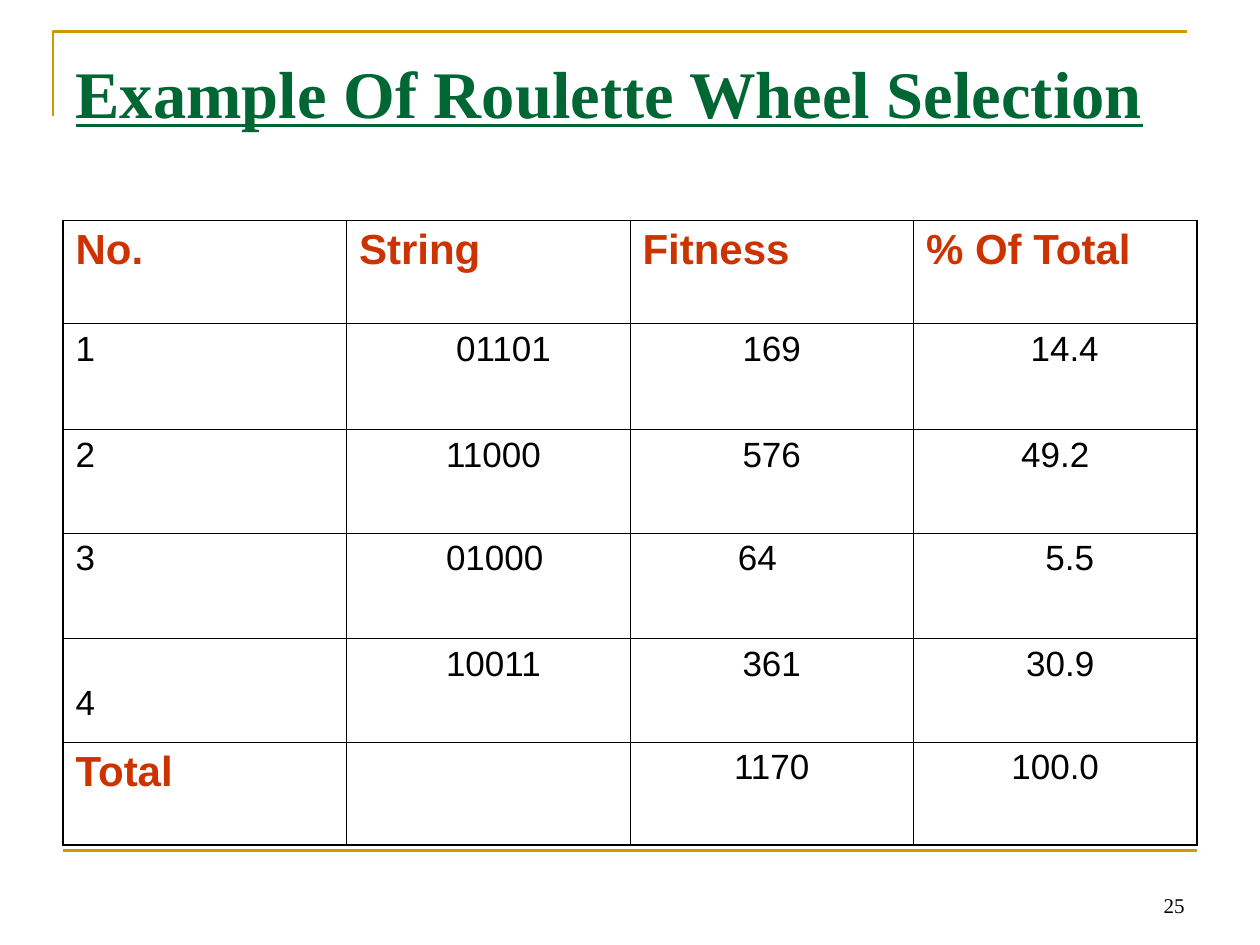
"""Builds the slide on roulette wheel selection with its fitness table."""
import pptx
import pptx.dml.color
import pptx.enum.shapes
import pptx.enum.text
import pptx.oxml
import pptx.oxml.ns
import pptx.util

Inches = pptx.util.Inches
Align = pptx.enum.text.PP_ALIGN
Anchor = pptx.enum.text.MSO_ANCHOR

COLORS = {"gold": "CC9900", "green": "006633", "red": "CC3300", "black": "000000"}
HEADERS = ["No.", "String", "Fitness", "% Of Total"]
ROWS = [
    ["1", "01101", "169", "14.4"],
    ["2", "11000", "576", "49.2"],
    ["3", "01000", "64", "5.5"],
    ["4", "10011", "361", "30.9"],
    ["Total", "", "1170", "100.0"],
]
ROW_HEIGHTS = [0.82, 0.84, 0.82, 0.84, 0.82, 0.82]
LEFT_MARGINS = {(1, 1): 0.87, (2, 1): 0.79, (3, 1): 0.79, (4, 1): 0.79,
                (1, 3): 0.25, (3, 3): 0.33, (4, 3): 0.18}
RIGHT_MARGINS = {(3, 2): 0.33}
TOP_MARGINS = {(4, 0): 0.36}


class SlideBuilder:
    def __init__(self, slide):
        self.slide = slide
        self.heading_font = "Times New Roman"
        self.table_font = "Arial"

    def color(self, name):
        return pptx.dml.color.RGBColor.from_string(COLORS[name])

    def add_text(self, paragraph, text, font, size, color, align, bold=False, underline=False):
        paragraph.alignment = align
        run = paragraph.add_run()
        run.text = text
        run.font.name = font
        run.font.size = pptx.util.Pt(size)
        run.font.bold = bold
        run.font.underline = underline
        run.font.color.rgb = self.color(color)

    def style_line(self, shape):
        shape.line.color.rgb = self.color("gold")
        shape.line.width = pptx.util.Pt(1.5)

    def corner(self, left, top, right, bottom):
        builder = self.slide.shapes.build_freeform(Inches(left), Inches(bottom))
        builder.add_line_segments(
            [(Inches(left), Inches(top)), (Inches(right), Inches(top))], close=False)
        shape = builder.convert_to_shape()
        shape.shadow.inherit = False
        shape.fill.background()
        self.style_line(shape)

    def rule(self, left, right, top):
        connector = self.slide.shapes.add_connector(
            pptx.enum.shapes.MSO_CONNECTOR.STRAIGHT,
            Inches(left), Inches(top), Inches(right), Inches(top))
        self.style_line(connector)
        properties = connector._element.spPr
        properties.append(pptx.oxml.parse_xml(
            f'<a:effectLst {pptx.oxml.ns.nsdecls("a")}/>'))

    def title(self, text, left, top, width, height):
        shape = self.slide.shapes.title
        shape.left, shape.top = Inches(left), Inches(top)
        shape.width, shape.height = Inches(width), Inches(height)
        frame = shape.text_frame
        frame.auto_size = pptx.enum.text.MSO_AUTO_SIZE.NONE
        frame.vertical_anchor = Anchor.TOP
        frame.margin_top = Inches(0.11)
        self.add_text(frame.paragraphs[0], text, self.heading_font, 38, "green",
                      Align.LEFT, bold=True, underline=True)

    def slide_number(self, text, left, top, width, height):
        shape = self.slide.shapes.add_textbox(
            Inches(left), Inches(top), Inches(width), Inches(height))
        frame = shape.text_frame
        frame.word_wrap = True
        frame.vertical_anchor = Anchor.BOTTOM
        self.add_text(frame.paragraphs[0], text, self.heading_font, 12, "black", Align.RIGHT)

    def borders(self, cell, outer_sides):
        properties = cell._tc.get_or_add_tcPr()
        for side in "LRTB":
            width = pptx.util.Pt(1.08 if side in outer_sides else 0.45)
            properties.append(pptx.oxml.parse_xml(
                f'<a:ln{side} {pptx.oxml.ns.nsdecls("a")} w="{int(width)}"><a:solidFill>'
                f'<a:srgbClr val="{COLORS["black"]}"/></a:solidFill></a:ln{side}>'))

    def cell(self, cell, text, row, column):
        cell.margin_left = Inches(LEFT_MARGINS.get((row, column), 0.1))
        cell.margin_right = Inches(RIGHT_MARGINS.get((row, column), 0.1))
        cell.margin_top = Inches(TOP_MARGINS.get((row, column), 0.05))
        cell.vertical_anchor = Anchor.TOP
        if not text:
            return
        paragraph = cell.text_frame.paragraphs[0]
        if row == 0 or text == "Total":
            self.add_text(paragraph, text, self.table_font, 24, "red", Align.LEFT, bold=True)
        else:
            align = Align.JUSTIFY if column < 2 else Align.CENTER
            self.add_text(paragraph, text, self.table_font, 20, "black", align)

    def table(self, rows, left, top, width, heights):
        last_row, last_column = len(rows) - 1, len(rows[0]) - 1
        table = self.slide.shapes.add_table(
            len(rows), len(rows[0]), Inches(left), Inches(top),
            Inches(width), Inches(sum(heights))).table
        table.first_row = False
        table.horz_banding = False
        for row, values in enumerate(rows):
            table.rows[row].height = Inches(heights[row])
            for column, text in enumerate(values):
                cell = table.cell(row, column)
                edges = {"L": column == 0, "R": column == last_column,
                         "T": row == 0, "B": row == last_row}
                self.borders(cell, [side for side, outer in edges.items() if outer])
                cell.fill.background()
                self.cell(cell, text, row, column)


def main():
    presentation = pptx.Presentation()
    presentation.slide_width, presentation.slide_height = Inches(10), Inches(7.5)
    builder = SlideBuilder(presentation.slides.add_slide(presentation.slide_layouts[5]))
    builder.corner(0.42, 0.25, 9.42, 0.92)
    builder.rule(0.5, 9.5, 6.75)
    builder.slide_number("25", 7.17, 6.83, 2.33, 0.5)
    builder.title("Example Of Roulette Wheel Selection", 0.5, 0.3, 9, 1.25)
    builder.table([HEADERS] + ROWS, 0.5, 1.75, 9, ROW_HEIGHTS)
    presentation.save("out.pptx")


if __name__ == "__main__":
    main()
